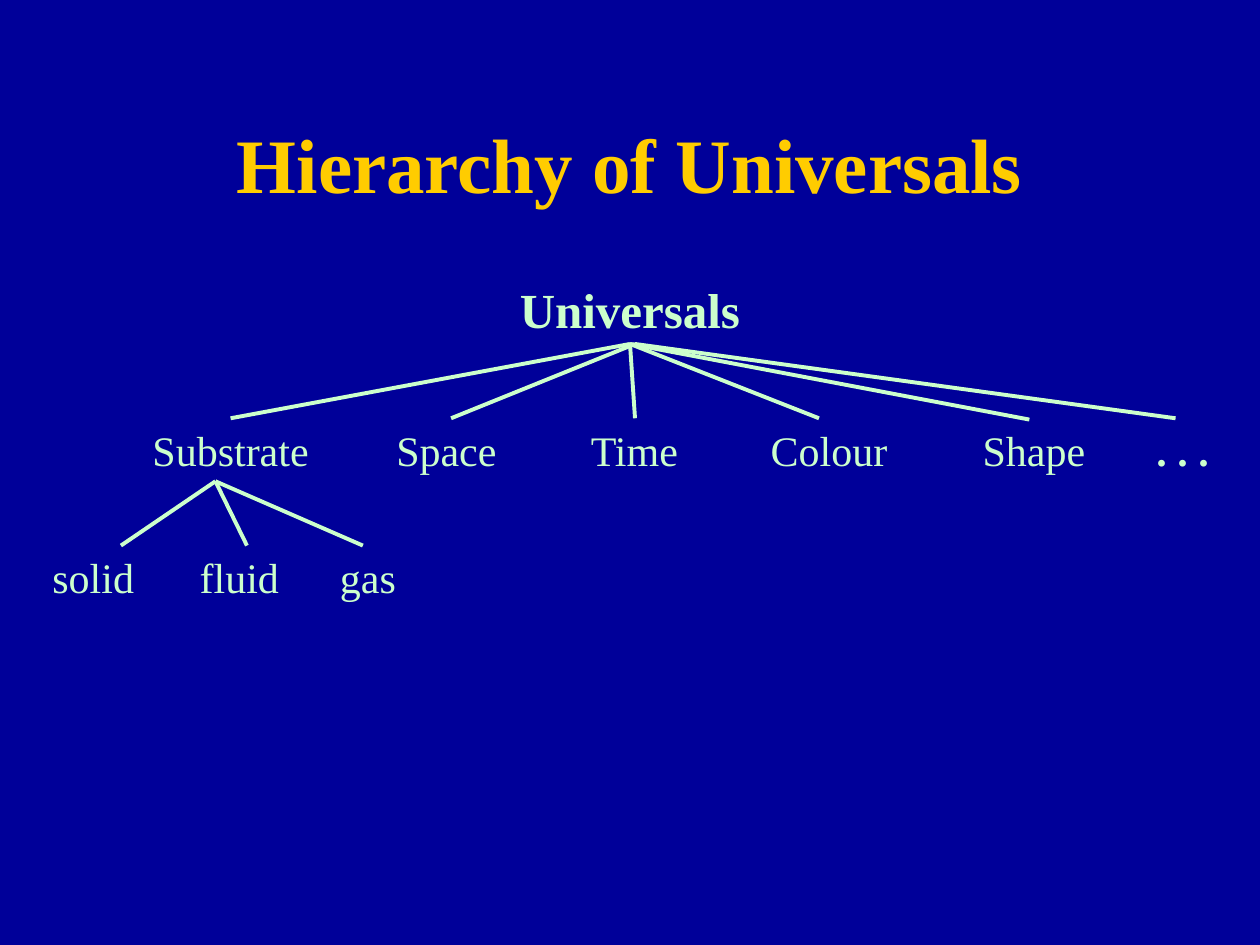
from lxml import etree
from pptx import Presentation
from pptx.dml.color import RGBColor
from pptx.enum.shapes import MSO_CONNECTOR
from pptx.enum.text import MSO_ANCHOR, MSO_AUTO_SIZE, PP_ALIGN
from pptx.oxml.ns import qn
from pptx.util import Inches, Pt

NAVY = RGBColor(0x00, 0x00, 0x99)
GOLD = RGBColor(0xFF, 0xCC, 0x00)
MINT = RGBColor(0xCC, 0xFF, 0xCC)
CENTER, LEFT = PP_ALIGN.CENTER, PP_ALIGN.LEFT
STRAIGHT = MSO_CONNECTOR.STRAIGHT

# Content
TITLE = "Hierarchy of Universals"
ROOT = "Universals"
CATEGORIES = [  # text, left, width
    ("Substrate", 0.79, 2.08),
    ("Space ", 2.92, 1.33),
    ("Time", 4.1, 1.87),
    ("Colour", 5.83, 1.5),
]
SUBSTRATES = [("solid", 0, 1.48), ("fluid", 0.96, 1.88), ("gas", 1.98, 1.88)]
LAST_CATEGORY, MORE = "Shape", ". . ."

# Levels of the tree and the branches between them
ROOT_TOP, CATEGORY_TOP, SUBSTRATE_TOP = 2.17, 3.32, 4.33
ROOT_BRANCHES = [  # start x, end x, end y
    (5, 1.83, 3.32), (5.04, 3.58, 3.32), (5, 5.04, 3.32),
    (5, 6.5, 3.32), (5, 8.17, 3.33), (5.04, 9.33, 3.32),
]
SUBSTRATE_BRANCHES = [(1.71, end, SUBSTRATE_TOP) for end in (0.96, 1.96, 2.88)]

ROOT_FONT = {"name": "Times New Roman", "size": Pt(28), "bold": True}
LABEL_FONT = {"name": "Times New Roman", "size": Pt(24), "bold": False}
TITLE_FONT = {"name": "Times New Roman", "size": Pt(44), "bold": True}


def add_run(paragraph, text, font, color):
    run = paragraph.add_run()
    run.text = text
    for name, value in font.items():
        setattr(run.font, name, value)
    run.font.color.rgb = color


def add_label(slide, text, left, top, width, height, font, align=CENTER):
    box = slide.shapes.add_textbox(*map(Inches, (left, top, width, height)))
    box.text_frame.word_wrap = True
    paragraph = box.text_frame.paragraphs[0]
    paragraph.alignment = align
    add_run(paragraph, text, font, MINT)
    return paragraph


def add_branches(slide, top, branches):
    for start, end, bottom in branches:
        line = slide.shapes.add_connector(
            STRAIGHT, *map(Inches, (start, top, end, bottom)))
        line.line.color.rgb = MINT
        line.line.width = Pt(2.25)
        etree.SubElement(line._element.spPr, qn("a:effectLst"))


def add_tab_stop(paragraph, position):
    tabs = etree.SubElement(paragraph._p.get_or_add_pPr(), qn("a:tabLst"))
    etree.SubElement(tabs, qn("a:tab"), pos=str(Inches(position)), algn="l")


def main():
    presentation = Presentation()
    presentation.slide_width, presentation.slide_height = Inches(10), Inches(7.5)
    slide = presentation.slides.add_slide(presentation.slide_layouts[5])
    slide.background.fill.solid()
    slide.background.fill.fore_color.rgb = NAVY

    # Title
    title = slide.shapes.title
    title.left, title.top, title.width, title.height = map(
        Inches, (0, 0.67, 10, 1.25))
    frame = title.text_frame
    frame.auto_size = MSO_AUTO_SIZE.NONE
    frame.vertical_anchor = MSO_ANCHOR.MIDDLE
    frame.paragraphs[0].alignment = CENTER
    add_run(frame.paragraphs[0], TITLE, TITLE_FONT, GOLD)

    # Tree labels
    add_label(slide, ROOT, 0, ROOT_TOP, 10, 0.57, ROOT_FONT)
    for top, labels in ((CATEGORY_TOP, CATEGORIES), (SUBSTRATE_TOP, SUBSTRATES)):
        for text, left, width in labels:
            add_label(slide, text, left, top, width, 0.5, LABEL_FONT)

    # Last category, with the open end of the list at a tab stop
    paragraph = add_label(slide, LAST_CATEGORY + "\t", 7.7, CATEGORY_TOP, 2.08, 0.5,
                          LABEL_FONT, LEFT)
    add_tab_stop(paragraph, 1.38)
    add_run(paragraph, MORE, {**LABEL_FONT, "bold": True}, MINT)

    # Branches
    add_branches(slide, 2.73, ROOT_BRANCHES)
    add_branches(slide, 3.82, SUBSTRATE_BRANCHES)

    presentation.save("out.pptx")


if __name__ == "__main__":
    main()
